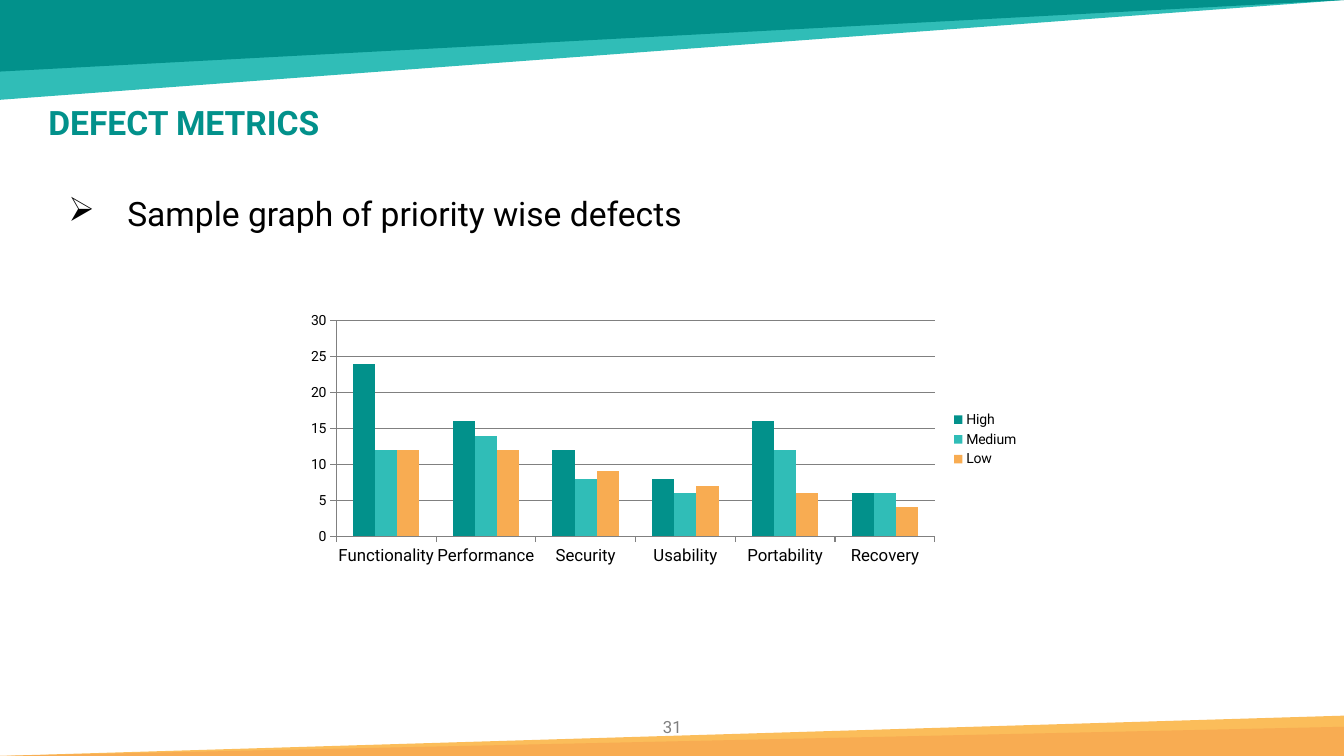
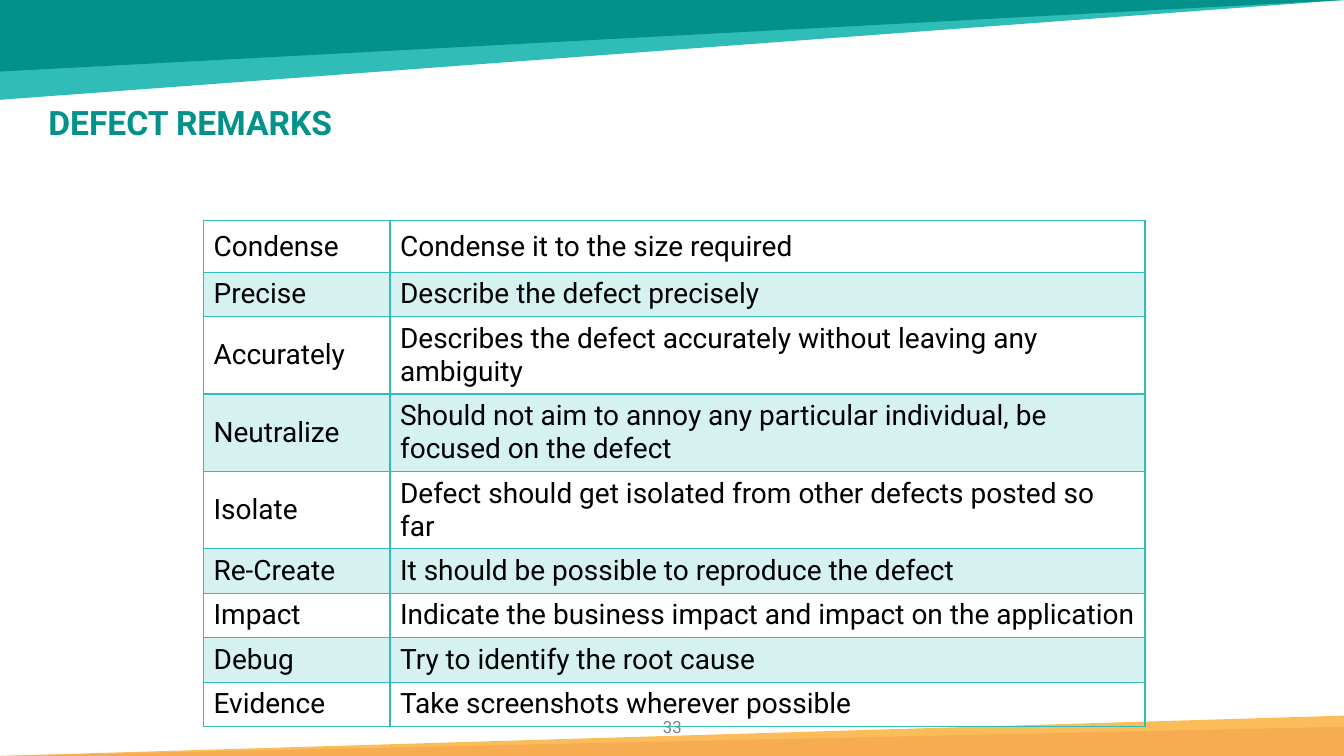
from lxml.etree import SubElement
from pptx import Presentation
from pptx.chart.data import CategoryChartData
from pptx.dml.color import RGBColor
from pptx.enum.chart import XL_CHART_TYPE, XL_LEGEND_POSITION, XL_TICK_MARK
from pptx.enum.shapes import MSO_SHAPE
from pptx.enum.text import MSO_ANCHOR, PP_ALIGN
from pptx.oxml import parse_xml
from pptx.oxml.ns import nsdecls, qn
from pptx.util import Pt

COLORS = {
    "teal": "02918B",
    "aqua": "30BDB7",
    "amber": "FBBD5A",
    "orange": "F8AC52",
    "grey": "808080",
    "black": "000000",
}
FONT = "Roboto"
WIDTH, HEIGHT = 960, 540
TOP_BANDS = (("aqua", 71.3), ("teal", 51.1))
BOTTOM_BANDS = (("amber", 28.8), ("orange", 20.9))

CATEGORIES = ("Functionality", "Performance", "Security", "Usability", "Portability", "Recovery")
DEFECTS = (
    ("High", "teal", (24, 16, 12, 8, 16, 6)),
    ("Medium", "aqua", (12, 14, 8, 6, 12, 6)),
    ("Low", "orange", (12, 12, 9, 7, 6, 4)),
)
ONE_LINE, TWO_LINES = 31.8, 54.3
REMARKS = (
    ("Condense", "Condense it to the size required", 36.7),
    ("Precise", "Describe the defect precisely", ONE_LINE),
    ("Accurately", "Describes the defect accurately without leaving any ambiguity", TWO_LINES),
    ("Neutralize", "Should not aim to annoy any particular individual, be focused on the defect", TWO_LINES),
    ("Isolate", "Defect should get isolated from other defects posted so far", TWO_LINES),
    ("Re-Create", "It should be possible to reproduce the defect", ONE_LINE),
    ("Impact", "Indicate the business impact and impact on the application", ONE_LINE),
    ("Debug", "Try to identify the root cause", ONE_LINE),
    ("Evidence", "Take screenshots wherever possible", ONE_LINE),
)


def color(name):
    """Return the named palette colour."""
    return RGBColor.from_string(COLORS[name])


class Deck:
    """Hold the presentation, its style and the current slide."""

    def __init__(self):
        """Start an empty wide presentation."""
        self.presentation = Presentation()
        self.presentation.slide_width = Pt(WIDTH)
        self.presentation.slide_height = Pt(HEIGHT)
        self.slide = None

    def style(self, font, size, name="black", bold=False):
        """Apply the deck font to a font object."""
        font.name, font.size, font.bold = FONT, Pt(size), bold
        font.color.rgb = color(name)

    def add_slide(self, title, number):
        """Add a slide with bands, number and title."""
        self.slide = self.presentation.slides.add_slide(self.presentation.slide_layouts[6])
        for name, height in TOP_BANDS:
            self.band(name, 0, height).rotation = 180
        for name, height in BOTTOM_BANDS:
            self.band(name, HEIGHT - height, height)
        paragraph = self.text(str(number), 456.5, 508.3, 47.5, 21.6, 12, "grey")
        paragraph.alignment = PP_ALIGN.CENTER
        paragraph = self.text(title, 27.4, 72.7, 633, 28.8, 24, "teal", True)
        paragraph.line_spacing = 0.9

    def band(self, name, top, height):
        """Draw a mirrored right triangle across the slide."""
        shape = self.slide.shapes.add_shape(
            MSO_SHAPE.RIGHT_TRIANGLE, 0, Pt(top), Pt(WIDTH), Pt(height))
        shape.shadow.inherit = False
        shape.fill.solid()
        shape.fill.fore_color.rgb = color(name)
        shape.line.fill.background()
        shape._element.spPr.find(qn("a:xfrm")).set("flipH", "1")
        return shape

    def text(self, text, left, top, width, height, size, name="black", bold=False, bullet=None):
        """Add a one-paragraph text box and return its paragraph."""
        box = self.slide.shapes.add_textbox(Pt(left), Pt(top), Pt(width), Pt(height))
        box.text_frame.word_wrap = True
        paragraph = box.text_frame.paragraphs[0]
        paragraph.text = text
        if bullet:
            properties = paragraph._p.get_or_add_pPr()
            properties.set("marL", str(Pt(42)))
            properties.set("indent", str(-Pt(42)))
            SubElement(properties, qn("a:buChar")).set("char", bullet)
        self.style(paragraph.font, size, name, bold)
        return paragraph

    def bullet(self, text, left, top, width, height):
        """Add an arrow-bulleted line."""
        paragraph = self.text(text, left, top, width, height, 24, bullet="➢")
        paragraph.line_spacing = 0.9

    def column_chart(self, categories, rows, left, top, width, height):
        """Add a clustered column chart with a legend on the right."""
        data = CategoryChartData()
        data.categories = categories
        for label, _, values in rows:
            data.add_series(label, values)
        chart = self.slide.shapes.add_chart(
            XL_CHART_TYPE.COLUMN_CLUSTERED, Pt(left), Pt(top), Pt(width), Pt(height), data).chart
        self.style(chart.font, 10)
        chart.has_title = False
        chart.has_legend = True
        chart.legend.position = XL_LEGEND_POSITION.RIGHT
        chart.legend.include_in_layout = False
        self.style(chart.legend.font, 10)
        for axis, size in ((chart.category_axis, 12), (chart.value_axis, 10)):
            self.style(axis.tick_labels.font, size)
            axis.major_tick_mark = XL_TICK_MARK.OUTSIDE
            axis.format.line.color.rgb = color("grey")
        axis = chart.value_axis
        axis.minimum_scale, axis.maximum_scale, axis.major_unit = 0, 30, 5
        axis.major_gridlines.format.line.color.rgb = color("grey")
        plot = chart.plots[0]
        plot.vary_by_categories = False
        plot.gap_width, plot.overlap = 150, 0
        for series, (_, name, _) in zip(plot.series, rows):
            series.format.fill.solid()
            series.format.fill.fore_color.rgb = color(name)

    def table(self, rows, left, top, widths):
        """Add a bordered table with every second row tinted."""
        height = sum(row[-1] for row in rows)
        table = self.slide.shapes.add_table(
            len(rows), len(widths), Pt(left), Pt(top), Pt(sum(widths)), Pt(height)).table
        table.first_row = table.horz_banding = False
        for column, width in zip(table.columns, widths):
            column.width = Pt(width)
        for index, (*texts, row_height) in enumerate(rows):
            table.rows[index].height = Pt(row_height)
            for cell, text in zip(table.rows[index].cells, texts):
                self.fill_cell(cell, text, index % 2 == 1)

    def fill_cell(self, cell, text, tinted):
        """Write a cell and set its fill and borders."""
        cell.text = text
        cell.vertical_anchor = MSO_ANCHOR.MIDDLE
        self.style(cell.text_frame.paragraphs[0].font, 20)
        properties = cell._tc.get_or_add_tcPr()
        for side in ("lnL", "lnR", "lnT", "lnB"):
            properties.append(parse_xml(
                f'<a:{side} {nsdecls("a")} w="{Pt(1)}"><a:solidFill>'
                f'<a:srgbClr val="{COLORS["aqua"]}"/></a:solidFill></a:{side}>'))
        if tinted:
            cell.fill.solid()
            cell.fill.fore_color.rgb = color("aqua")
            tint = properties.find(qn("a:solidFill")).find(qn("a:srgbClr"))
            SubElement(tint, qn("a:alpha")).set("val", "20000")
        else:
            cell.fill.background()


def main():
    """Build and save both slides."""
    deck = Deck()
    deck.add_slide("DEFECT METRICS", 31)
    deck.bullet("Sample graph of priority wise defects", 41.8, 137.5, 836.6, 360)
    deck.column_chart(CATEGORIES, DEFECTS, 211.7, 219.6, 523.4, 188.6)
    deck.add_slide("DEFECT REMARKS", 33)
    deck.table(REMARKS, 145.4, 157.7, (133.2, 539.3))
    deck.presentation.save("out.pptx")


if __name__ == "__main__":
    main()
